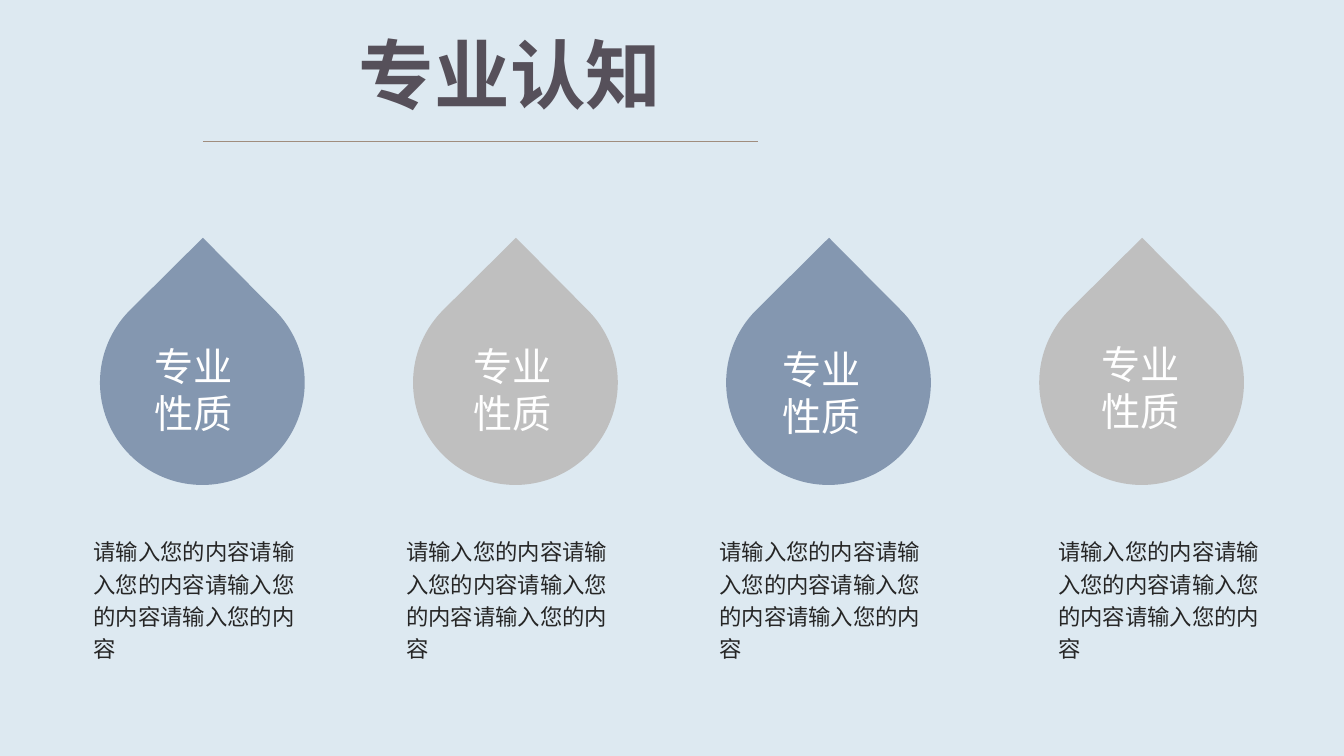
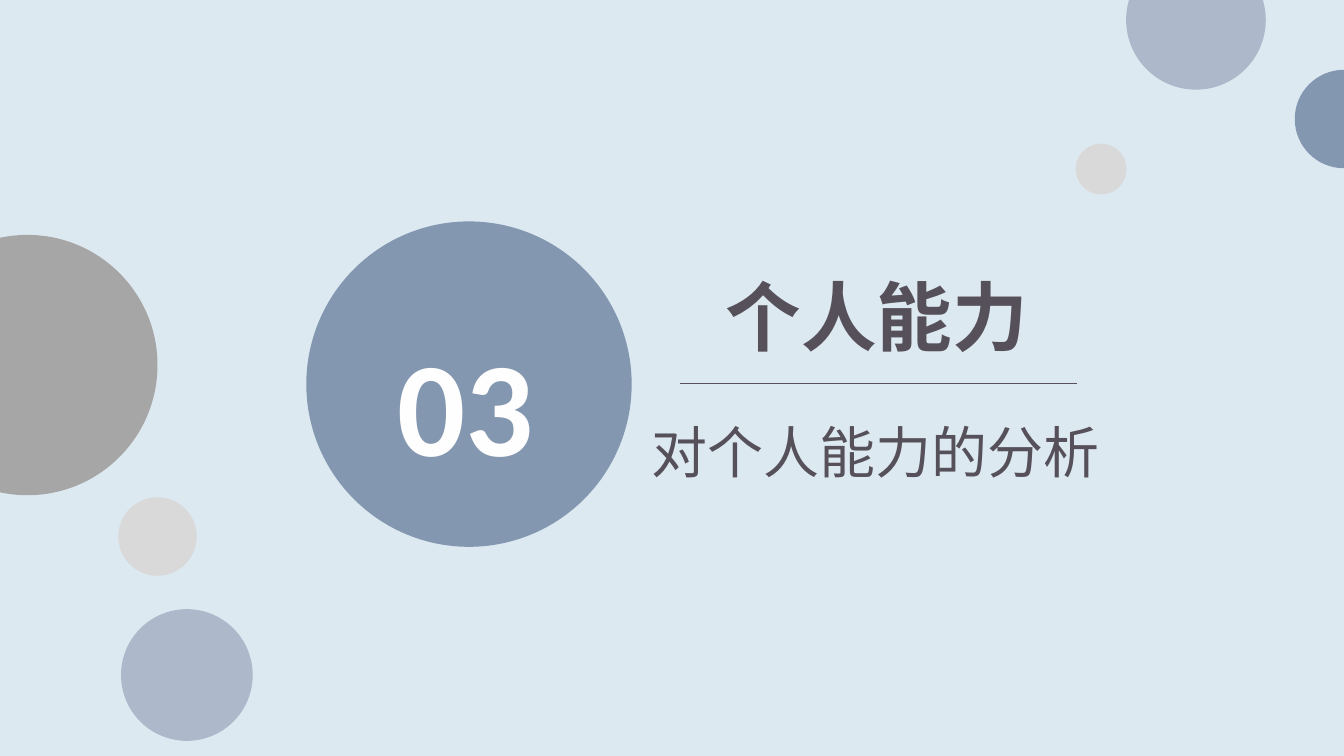
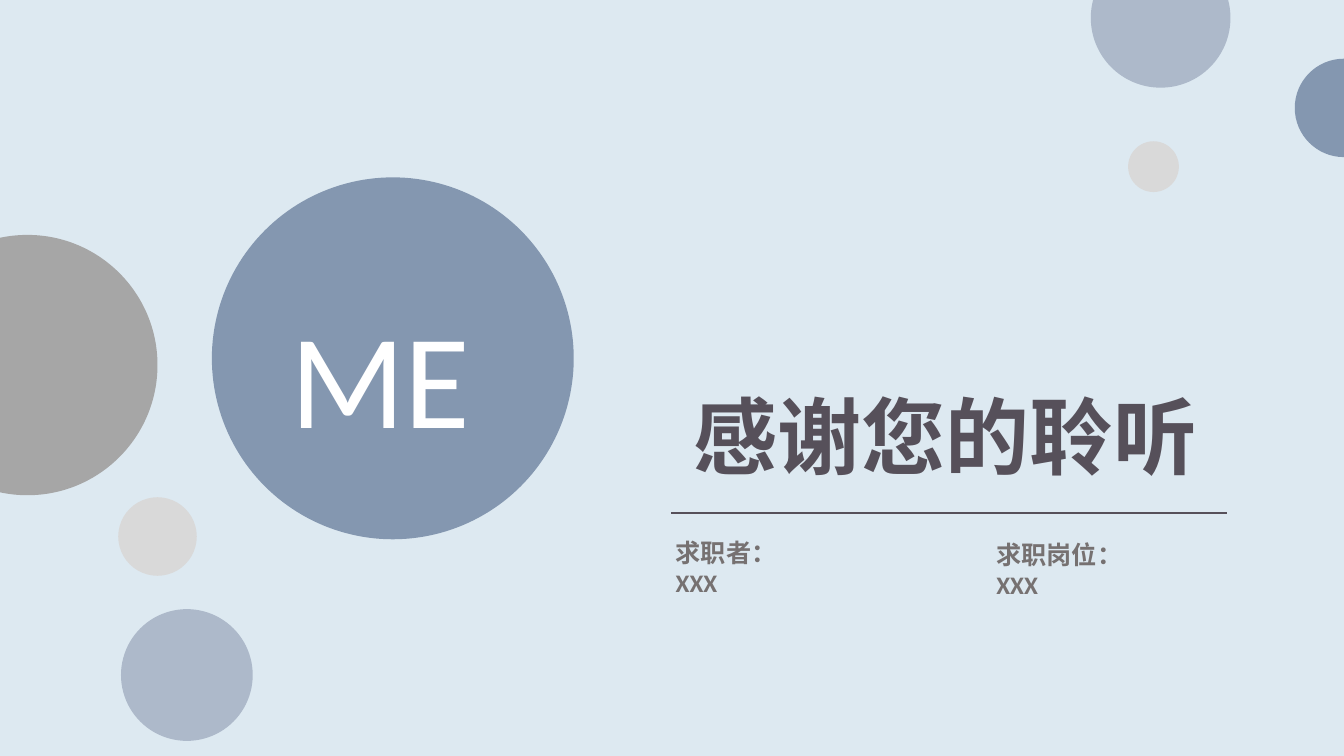
from dataclasses import dataclass
from math import acos, ceil, cos, floor, pi, sin, tan

from lxml import etree
from pptx import Presentation
from pptx.dml.color import RGBColor
from pptx.enum.shapes import MSO_CONNECTOR, MSO_SHAPE
from pptx.enum.text import MSO_ANCHOR, MSO_AUTO_SIZE, PP_ALIGN
from pptx.oxml.ns import qn
from pptx.util import Cm, Pt

LINE = MSO_CONNECTOR.STRAIGHT
OVAL, TEAR, RECT = MSO_SHAPE.OVAL, MSO_SHAPE.TEAR, MSO_SHAPE.RECTANGLE
TOP, LEFT, MID = MSO_ANCHOR.TOP, PP_ALIGN.LEFT, PP_ALIGN.CENTER
FIXED = MSO_AUTO_SIZE.NONE
TITLE_ONLY = 5
WIDE, HIGH = 33.87, 19.05


@dataclass(frozen=True)
class Theme:
    font: str = "Calibri"
    back: str = "DDE9F1"
    ink: str = "56505A"
    rule: str = "A08D7E"
    blue: str = "8497B0"
    pale: str = "ADB9CA"
    gray: str = "BFBFBF"
    dark: str = "A6A6A6"
    light: str = "D9D9D9"
    body: str = "262626"
    field: str = "767171"
    white: str = "FFFFFF"
    digit: str = "FEFEFE"
    huge: int = 96
    end: int = 60
    title: int = 54
    sub: int = 40
    label: int = 28
    small: int = 18
    note: int = 16


T = Theme()

# Slide 1: lengths in cm; each drop has its label place and note left
HEAD = ("专业认知", (8.79, 0.58, 8.2, 2.57))
LABEL = ["专业", "性质"]
NOTE = "请输入您的内容" * 4
DROPS = [
    (T.blue, (3.65, 8.5), 2.11),
    (T.gray, (11.68, 8.5), 9.99),
    (T.blue, (19.48, 8.57), 17.88),
    (T.gray, (27.51, 8.46), 26.42),
]
DROP_X, DROP_Y, DROP_D, STEP = 2.52, 7.06, 5.16, 7.89

# Circles: centre x, centre y, radius, colour
LEFT_DOTS = [
    (0.69, 9.2, 3.28, T.dark),
    (3.97, 13.52, 0.99, T.light),
    (4.71, 17.01, 1.66, T.pale),
]
PART_DOTS = [
    (11.82, 9.68, 4.1, T.blue),
    (30.14, 0.5, 1.76, T.pale),
    (27.75, 4.26, 0.64, T.light),
    (WIDE, 3, 1.24, T.blue),
]
END_DOTS = [
    (9.9, 9.03, 4.56, T.blue),
    (29.25, 0.45, 1.76, T.pale),
    (29.07, 4.2, 0.64, T.light),
    (WIDE, 2.72, 1.24, T.blue),
]

PART = ("个人能力", (18.03, 6.68, 8.2, 2.57))
PART_NO = ("03", (9.49, 8, 4.5, 4.37))
PART_SUB = ("对个人能力的分析", (16.18, 10.39, 11.91, 1.96))

THANKS = ("感谢您的聆听", (17.22, 9.56, 13.69, 2.82))
MARK = ("ME", (7.06, 7.29, 5.11, 4.37))
FIELDS = [
    ("求职者：XXX", (16.78, 13.41, 3.8, 1.8)),
    ("求职岗位：XXX", (24.86, 13.46, 4.4, 1.8)),
]


def rgb(hue):
    return RGBColor.from_string(hue)


def put(obj, **vals):
    for key, val in vals.items():
        setattr(obj, key, val)


def write(shape, lines, size, hue, bold=False, align=LEFT, wrap=False, space=1.0):
    frame = shape.text_frame
    frame.text = "\n".join(lines)
    put(frame, word_wrap=wrap, auto_size=FIXED, vertical_anchor=TOP)
    for par in frame.paragraphs:
        put(par, alignment=align, line_spacing=space)
        for run in par.runs:
            put(run.font, name=T.font, size=Pt(size), bold=bold)
            run.font.color.rgb = rgb(hue)


def text(slide, lines, box, size, hue, **style):
    shape = slide.shapes.add_textbox(*map(Cm, box))
    write(shape, lines, size, hue, **style)


def paint(shape, hue):
    shape.shadow.inherit = False
    shape.fill.solid()
    shape.fill.fore_color.rgb = rgb(hue)
    shape.line.fill.background()


def form(slide, kind, box, hue):
    shape = slide.shapes.add_shape(kind, *map(Cm, box))
    paint(shape, hue)
    return shape


def rule(slide, left, right, y, hue, width):
    line = slide.shapes.add_connector(LINE, Cm(left), Cm(y), Cm(right), Cm(y))
    line.line.color.rgb = rgb(hue)
    line.line.width = Pt(width)
    etree.SubElement(line._element.spPr, qn("a:effectLst"))


def cut(slide, x, y, r, way, gap):
    """Draw the part of a circle on the inner side of a slide edge.

    way is the angle that points inwards, gap the centre's distance to the edge.
    """
    half = acos(-gap / r)
    low, high = way - half, way + half
    quads = range(floor(low * 2 / pi) + 1, ceil(high * 2 / pi))
    turns = [low, *(q * pi / 2 for q in quads), high]

    def at(turn, lean=0):
        return (Cm(x + r * (cos(turn) - lean * sin(turn))),
                Cm(y + r * (sin(turn) + lean * cos(turn))))

    pts = [at(turn) for turn in turns]
    path = slide.shapes.build_freeform(*pts[0])
    path.add_line_segments(pts[1:], close=True)
    shape = path.convert_to_shape()
    sides = list(shape._element.iter(qn("a:lnTo")))
    for side, a, b in zip(sides, turns, turns[1:]):
        lean = 4 / 3 * tan((b - a) / 4)
        side.tag = qn("a:cubicBezTo")
        for i, (px, py) in enumerate((at(a, lean), at(b, -lean))):
            point = etree.Element(qn("a:pt"))
            point.set("x", str(px - shape.left))
            point.set("y", str(py - shape.top))
            side.insert(i, point)
    return shape


def dot(slide, x, y, r, hue):
    """Draw a circle, cut off where it would leave the slide."""
    edges = [(0, x), (pi / 2, y), (pi, WIDE - x)]
    way, gap = min(edges, key=lambda edge: edge[1])
    if gap < r:
        paint(cut(slide, x, y, r, way, gap), hue)
    else:
        form(slide, OVAL, (x - r, y - r, 2 * r, 2 * r), hue)


def start(deck, head, size=T.title, dots=()):
    """Add a slide with its circles and its title."""
    slide = deck.slides.add_slide(deck.slide_layouts[TITLE_ONLY])
    for item in dots:
        dot(slide, *item)
    words, box = head
    title = slide.shapes.title
    put(title, **dict(zip(("left", "top", "width", "height"), map(Cm, box))))
    write(title, [words], size, T.ink, bold=True)
    return slide


def skills(deck):
    slide = start(deck, HEAD)
    rule(slide, 5.11, 19.1, 3.56, T.rule, 0.5)
    for i, (hue, place, left) in enumerate(DROPS):
        box = (DROP_X + i * STEP, DROP_Y, DROP_D, DROP_D)
        form(slide, TEAR, box, hue).rotation = 315.2
        label = form(slide, RECT, (*place, 2.51, 2.64), hue)
        write(label, LABEL, T.label, T.white)
        text(slide, [NOTE], (left, 13.31, 5.99, 3.53), T.note, T.body,
             wrap=True, space=1.2)


def part(deck):
    slide = start(deck, PART, dots=LEFT_DOTS + PART_DOTS)
    rule(slide, 17.13, 27.13, 9.65, T.ink, 0.5)
    words, box = PART_NO
    number = form(slide, RECT, box, T.blue)
    write(number, [words], T.huge, T.digit, bold=True, align=MID)
    words, box = PART_SUB
    text(slide, [words], box, T.sub, T.ink)


def thanks(deck):
    slide = start(deck, THANKS, T.end, LEFT_DOTS + END_DOTS)
    rule(slide, 16.92, 30.91, 12.93, T.ink, 1)
    words, box = MARK
    text(slide, [words], box, T.huge, T.white)
    for words, box in FIELDS:
        text(slide, [words], box, T.small, T.field, bold=True, wrap=True)


def main():
    deck = Presentation()
    put(deck, slide_width=Cm(WIDE), slide_height=Cm(HIGH))
    fill = deck.slide_master.background.fill
    fill.solid()
    fill.fore_color.rgb = rgb(T.back)
    for build in (skills, part, thanks):
        build(deck)
    deck.save("out.pptx")


if __name__ == "__main__":
    main()
